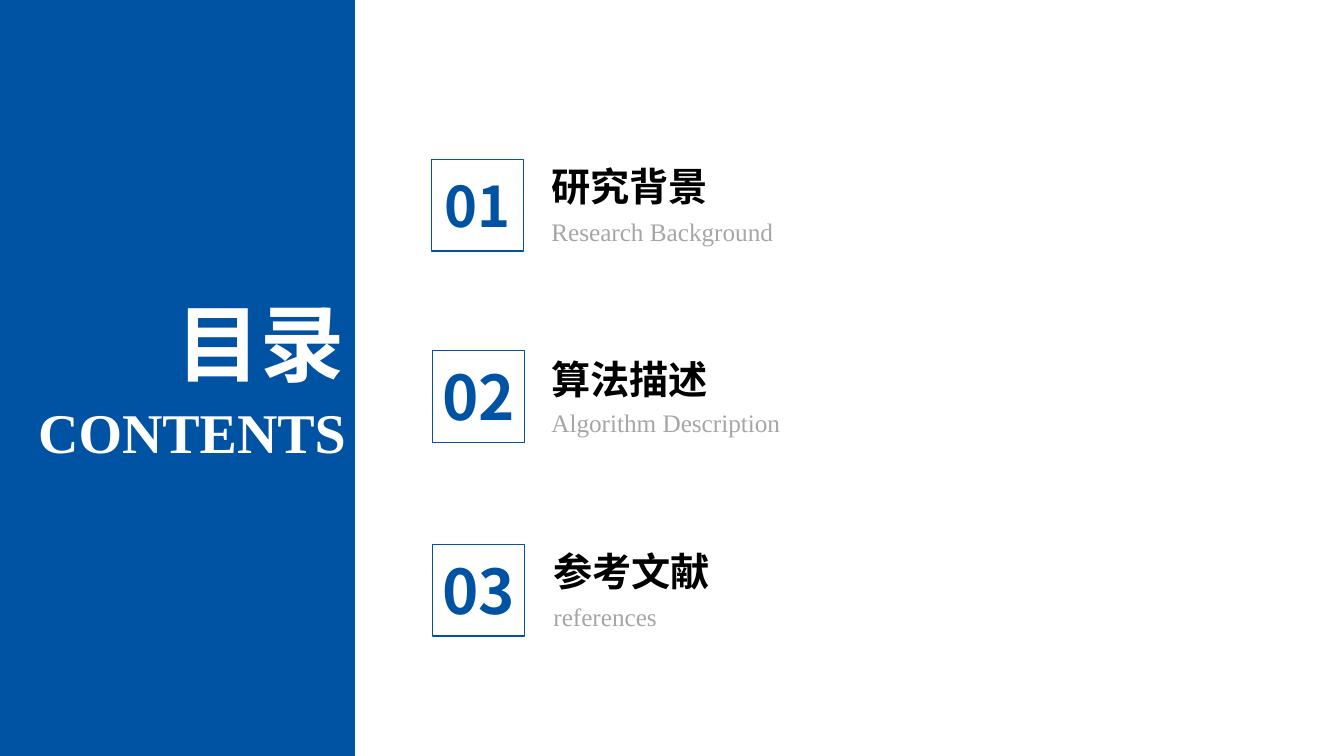
from dataclasses import dataclass

from lxml import etree
from pptx import Presentation
from pptx import util as u
from pptx.dml import color
from pptx.enum import shapes, text
from pptx.oxml import ns


@dataclass(frozen=True)
class Theme:
    blue: str = "0053A3"
    white: str = "FFFFFF"
    black: str = "000000"
    gray: str = "A6A6A6"
    sans: str = "Noto Sans CJK SC"
    serif: str = "Times New Roman"
    main: int = 60
    large: int = 40
    huge: int = 44
    head: int = 28
    small: int = 18


@dataclass(frozen=True)
class Box:
    left: float
    top: float
    width: float
    height: float

    def emu(self) -> list:
        return [u.Inches(v) for v in (self.left, self.top, self.width, self.height)]


@dataclass(frozen=True)
class Style:
    font: str
    size: int
    tint: str
    bold: bool = False
    align: str = "LEFT"


@dataclass(frozen=True)
class Topic:
    title: str
    label: str
    square: Box
    left: float
    top: float
    below: float
    digit: Style
    wide: float
    tall: float


def apply(target: object, values: dict) -> None:
    for name, value in values.items():
        setattr(target, name, value)


def write(slide, words: str, box: Box, style: Style) -> None:
    frame = slide.shapes.add_textbox(*box.emu()).text_frame
    apply(frame, {"word_wrap": True,
                  "auto_size": text.MSO_AUTO_SIZE.SHAPE_TO_FIT_TEXT})
    line = frame.paragraphs[0]
    line.alignment = text.PP_ALIGN[style.align]
    run = line.add_run()
    run.text = words
    apply(run.font, {"name": style.font, "size": u.Pt(style.size), "bold": style.bold})
    run.font.color.rgb = color.RGBColor.from_string(style.tint)
    east = etree.SubElement(run.font._element, ns.qn("a:ea"))
    east.set("typeface", style.font)


def panel(slide, box: Box, tint: str, solid: bool) -> None:
    shape = slide.shapes.add_shape(shapes.MSO_SHAPE.RECTANGLE, *box.emu())
    shape.shadow.inherit = False
    if solid:
        shape.fill.solid()
        shape.fill.fore_color.rgb = color.RGBColor.from_string(tint)
        shape.line.fill.background()
    else:
        shape.fill.background()
        shape.line.color.rgb = color.RGBColor.from_string(tint)
        shape.line.width = u.Pt(1)


def entry(slide, index: int, topic: Topic, theme: Theme) -> None:
    head = Style(theme.sans, theme.head, theme.black, True)
    small = Style(theme.serif, theme.small, theme.gray)
    write(slide, topic.title, Box(topic.left, topic.top, 2.62, 0.57), head)
    write(slide, topic.label, Box(topic.left, topic.below, 2.62, 0.4), small)
    square = topic.square
    digit = Box(square.left + (square.width - topic.wide) / 2,
                square.top + (square.height - topic.tall) / 2,
                topic.wide, topic.tall)
    write(slide, f"{index:02d}", digit, topic.digit)
    panel(slide, square, theme.blue, False)


def main() -> None:
    theme = Theme()
    deck = Presentation()
    apply(deck, {"slide_width": u.Inches(13.33), "slide_height": u.Inches(7.5)})
    slide = deck.slides.add_slide(deck.slide_layouts[6])

    panel(slide, Box(0, 0, 3.52, 7.5), theme.blue, True)
    write(slide, "目录", Box(0.98, 2.84, 2.54, 1.11),
          Style(theme.sans, theme.main, theme.white, True, "RIGHT"))
    write(slide, "CONTENTS", Box(0, 3.89, 3.53, 0.77),
          Style(theme.serif, theme.large, theme.white, True, "RIGHT"))

    large = Style(theme.sans, theme.large, theme.blue, True, "CENTER")
    huge = Style(theme.sans, theme.huge, theme.blue, True, "CENTER")
    side = 0.91
    topics = [
        Topic("研究背景", "Research Background", Box(4.28, 1.58, side, side),
              5.37, 1.56, 2.1, large, 0.91, 0.77),
        Topic("算法描述", "Algorithm Description", Box(4.29, 3.48, side, side),
              5.37, 3.48, 3.99, huge, 0.98, 0.84),
        Topic("参考文献", "references", Box(4.29, 5.4, side, side),
              5.39, 5.38, 5.92, huge, 0.98, 0.84),
    ]
    for index, topic in enumerate(topics, 1):
        entry(slide, index, topic, theme)

    deck.save("out.pptx")


if __name__ == "__main__":
    main()
